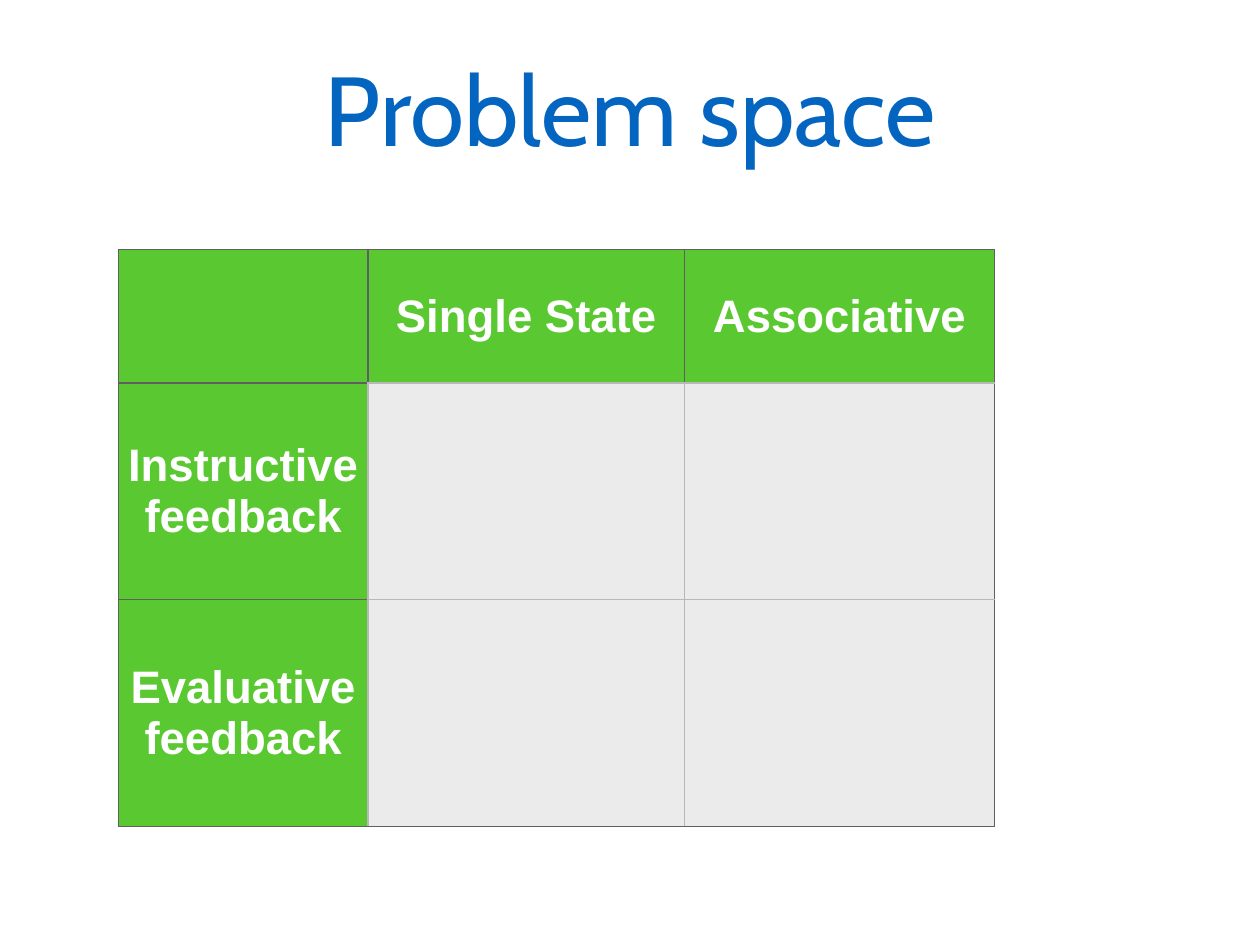
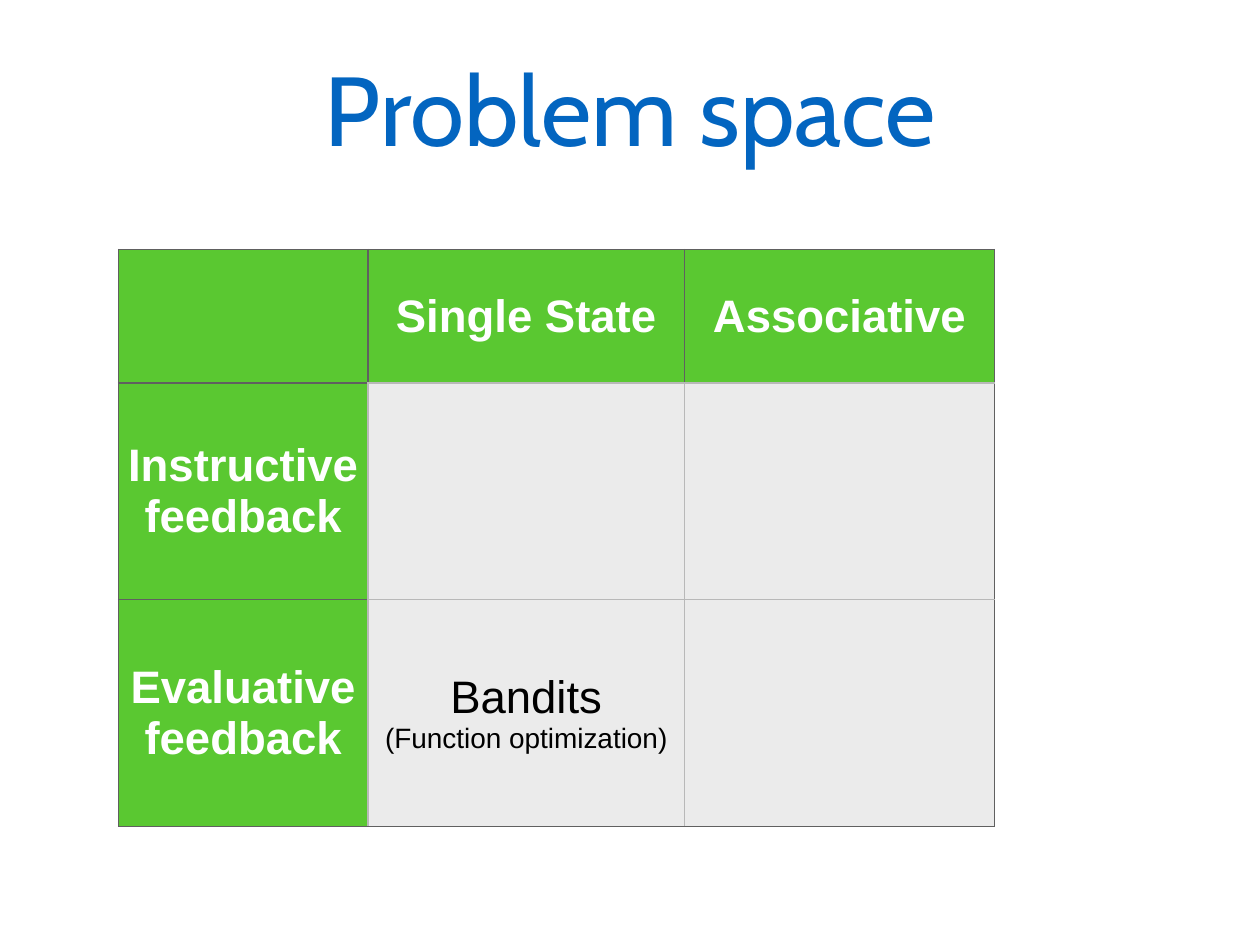
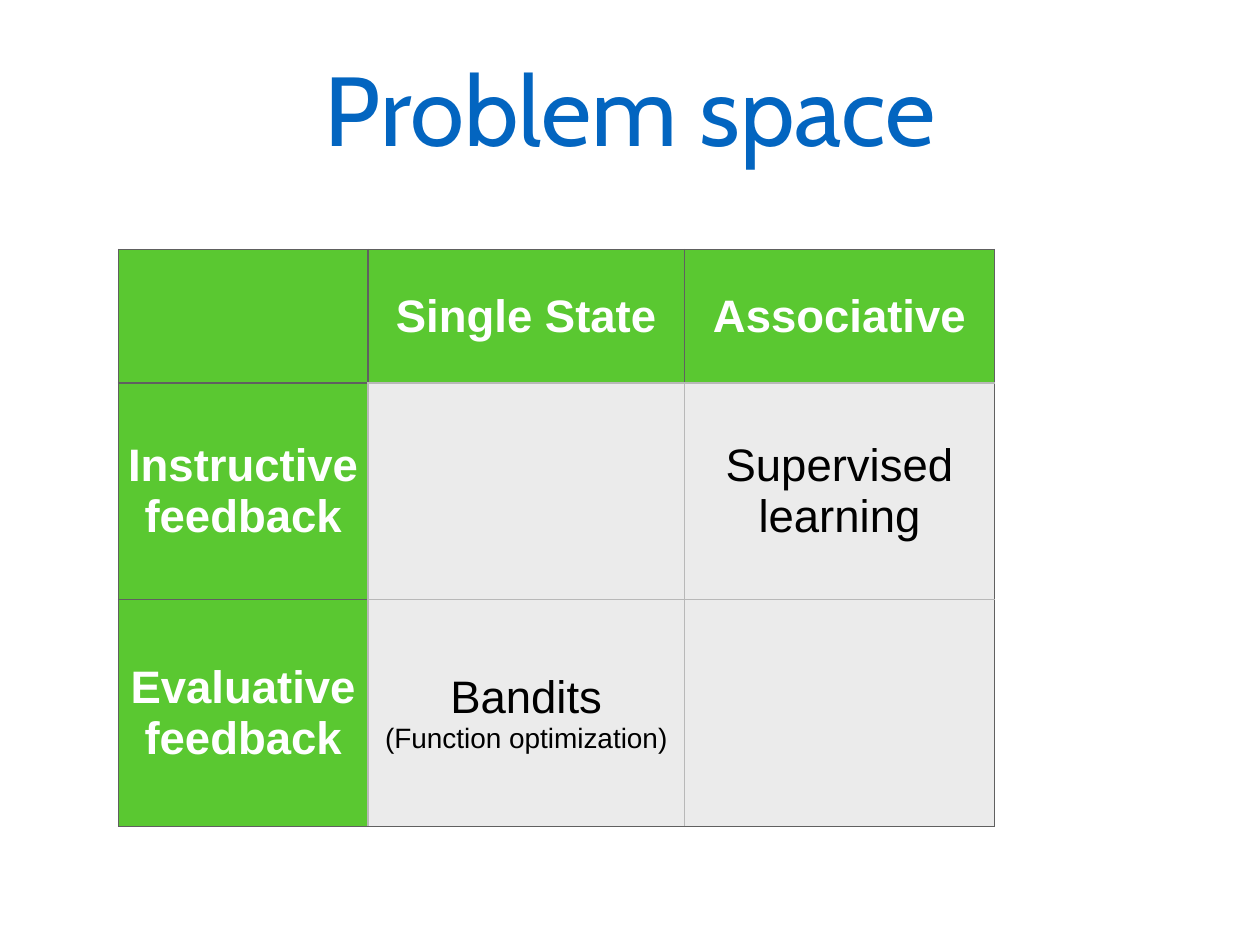
from lxml.etree import SubElement
from pptx import Presentation
from pptx.dml.color import RGBColor
from pptx.enum.text import MSO_ANCHOR as Anchor, PP_ALIGN as Align
from pptx.oxml.ns import qn
from pptx.util import Cm, Pt

TITLE_BLUE, HEADER_GREEN, BODY_GREY = "0365C0", "5AC831", "EBEBEB"
DARK_RULE, LIGHT_RULE = "606060", "B8B8B8"
WHITE, BLACK = "FFFFFF", "000000"

COLUMN_WIDTHS = [5.03, 6.38, 6.25]
ROW_HEIGHTS = [2.69, 4.37, 4.57]
HEADINGS = {
    (0, 1): ["Single State"],
    (0, 2): ["Associative"],
    (1, 0): ["Instructive\vfeedback"],
    (2, 0): ["Evaluative feedback"],
}
BANDITS = {(2, 1): ["Bandits", "(Function optimization)"]}
SUPERVISED = {(1, 2): ["Supervised learning"]}
# Answers revealed on each successive slide
STEPS = [{}, BANDITS, BANDITS | SUPERVISED]
NEIGHBOURS = {"lnL": (0, -1), "lnR": (0, 1), "lnT": (-1, 0), "lnB": (1, 0)}


def rgb(color):
    return RGBColor.from_string(color)


def style(paragraph, font_name, size, color, bold=False):
    paragraph.alignment = Align.CENTER
    font = paragraph.font
    font.name, font.size, font.bold = font_name, Pt(size), bold
    font.color.rgb = rgb(color)


def set_margins(area, margin):
    area.margin_left = area.margin_right = margin
    area.margin_top = area.margin_bottom = margin


def add_title(slide, text):
    frame = slide.shapes.add_textbox(Cm(0.05), Cm(0.05), Cm(25.32), Cm(4.22)).text_frame
    frame.word_wrap = True
    frame.vertical_anchor = Anchor.MIDDLE
    set_margins(frame, Cm(0.1))
    frame.text = text
    style(frame.paragraphs[0], "Cabin", 56, TITLE_BLUE)


def is_heading(row, column):
    return row == 0 or column == 0


def rule_color(row, column, side):
    """Light rules touch body cells inside the grid; all others are dark."""
    down, right = NEIGHBOURS[side]
    next_row, next_column = row + down, column + right
    inside = 0 <= next_row < len(ROW_HEIGHTS) and 0 <= next_column < len(COLUMN_WIDTHS)
    between_headings = is_heading(row, column) and is_heading(next_row, next_column)
    return LIGHT_RULE if inside and not between_headings else DARK_RULE


def draw_borders(cell, row, column):
    properties = cell._tc.get_or_add_tcPr()
    for side in NEIGHBOURS:
        line = SubElement(properties, qn(f"a:{side}"), w=str(Pt(1)))
        fill = SubElement(line, qn("a:solidFill"))
        SubElement(fill, qn("a:srgbClr"), val=rule_color(row, column, side))


def fill_cell(cell, row, column, lines):
    heading = is_heading(row, column)
    draw_borders(cell, row, column)
    cell.fill.solid()
    cell.fill.fore_color.rgb = rgb(HEADER_GREEN if heading else BODY_GREY)
    cell.vertical_anchor = Anchor.MIDDLE
    set_margins(cell, Cm(0.15))
    cell.text = "\n".join(lines)
    for index, paragraph in enumerate(cell.text_frame.paragraphs):
        size = 26 if index == 0 else 16
        style(paragraph, "Arial", size, WHITE if heading else BLACK, heading)


def add_problem_grid(slide, answers):
    grid = slide.shapes.add_table(
        len(ROW_HEIGHTS), len(COLUMN_WIDTHS), Cm(2.39), Cm(5.03),
        Cm(sum(COLUMN_WIDTHS)), Cm(sum(ROW_HEIGHTS))).table
    grid.first_row = grid.horz_banding = False
    for column, width in zip(grid.columns, COLUMN_WIDTHS):
        column.width = Cm(width)
    for row, height in zip(grid.rows, ROW_HEIGHTS):
        row.height = Cm(height)
    texts = HEADINGS | answers
    for row in range(len(ROW_HEIGHTS)):
        for column in range(len(COLUMN_WIDTHS)):
            fill_cell(grid.cell(row, column), row, column, texts.get((row, column), []))


def main():
    deck = Presentation()
    deck.slide_width, deck.slide_height = Cm(25.4), Cm(19.05)
    for answers in STEPS:
        slide = deck.slides.add_slide(deck.slide_layouts[6])
        add_title(slide, "Problem space")
        add_problem_grid(slide, answers)
    deck.save("out.pptx")


if __name__ == "__main__":
    main()
